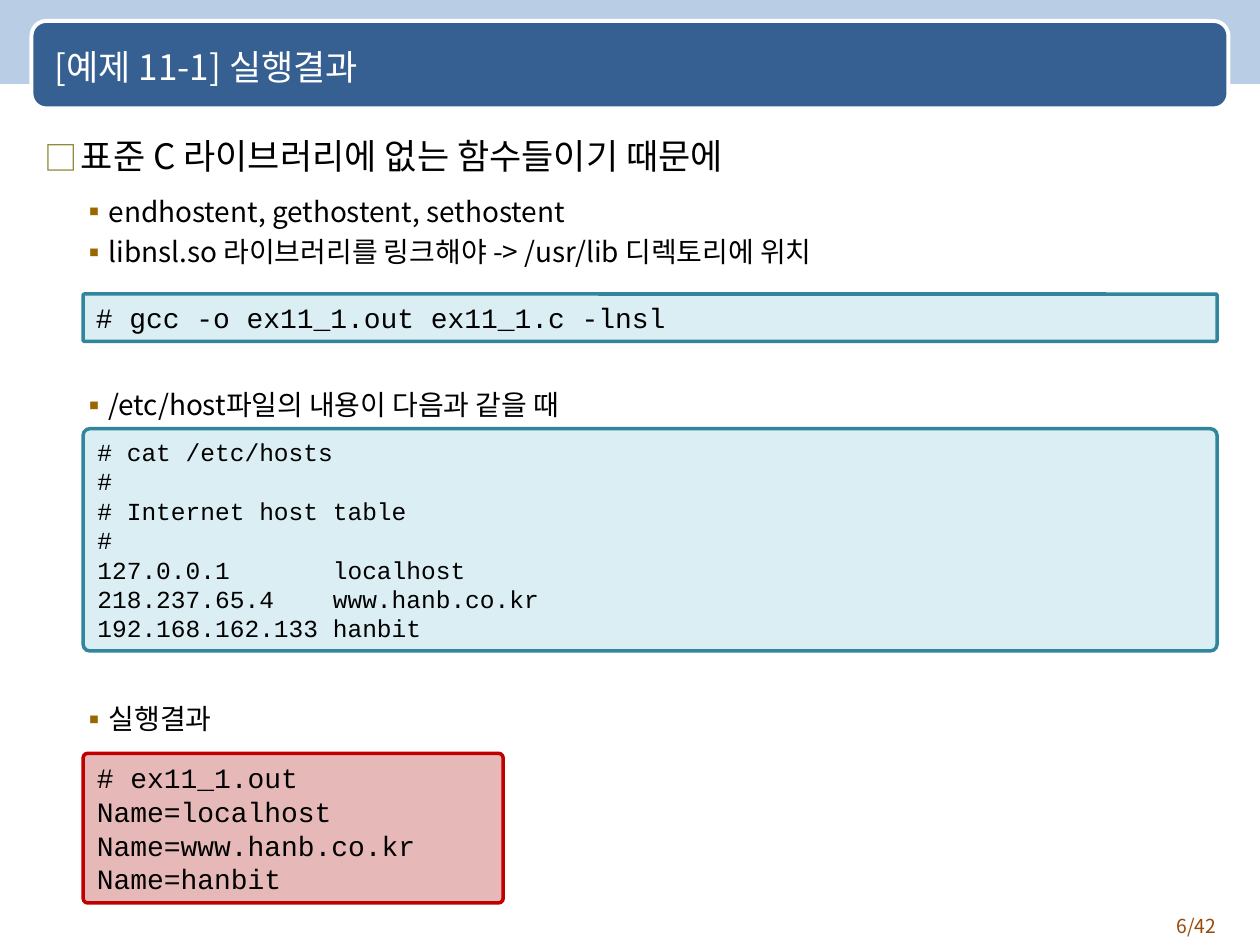
from lxml import etree
from pptx import Presentation
from pptx.dml.color import RGBColor
from pptx.enum.shapes import MSO_SHAPE
from pptx.enum.text import MSO_ANCHOR, MSO_AUTO_SIZE, PP_ALIGN
from pptx.oxml.ns import qn
from pptx.util import Pt

RECT, ROUND = MSO_SHAPE.RECTANGLE, MSO_SHAPE.ROUNDED_RECTANGLE
MIDDLE, FIXED = MSO_ANCHOR.MIDDLE, MSO_AUTO_SIZE.NONE
LEFT, RIGHT = PP_ALIGN.LEFT, PP_ALIGN.RIGHT
SANS, MONO = "Noto Sans CJK KR", "Courier New"
BLACK = RGBColor(0x00, 0x00, 0x00)
WHITE = RGBColor(0xFF, 0xFF, 0xFF)
SKY = RGBColor(0xB9, 0xCD, 0xE5)
NAVY = RGBColor(0x37, 0x60, 0x92)
RUST = RGBColor(0x98, 0x48, 0x07)
AQUA = RGBColor(0xDB, 0xEE, 0xF4)
TEAL = RGBColor(0x31, 0x85, 0x9C)
PINK = RGBColor(0xE6, 0xB9, 0xB8)
RED = RGBColor(0xC0, 0x00, 0x00)
OLIVE = RGBColor(0x88, 0x81, 0x28)
BROWN = RGBColor(0x99, 0x66, 0x00)

LEVELS = [
    dict(mark="□", hue=OLIVE, scale=95, left=21, hang=21, size=20, line=25.5, after=6),
    dict(mark="▪", hue=BROWN, scale=100, left=35, hang=14, size=16, line=19, after=0),
]
POINTS = [
    (0, 0, "표준 C 라이브러리에 없는 함수들이기 때문에"),
    (1, 4, "endhostent, gethostent, sethostent"),
    (1, 4, "libnsl.so 라이브러리를 링크해야 -> /usr/lib 디렉토리에 위치"),
    (1, 68.5, "/etc/host파일의 내용이 다음과 같을 때"),
    (1, 160.5, "실행결과"),
]
BUILD = "# gcc -o ex11_1.out ex11_1.c -lnsl"
HOSTS = """# cat /etc/hosts
#
# Internet host table
#
127.0.0.1       localhost
218.237.65.4    www.hanb.co.kr
192.168.162.133 hanbit"""
RESULT = """# ex11_1.out
Name=localhost
Name=www.hanb.co.kr
Name=hanbit"""


class Deck:
    """Holds the text style and the current slide, and draws its elements."""

    def __init__(self):
        self.show = Presentation()
        self.show.slide_width, self.show.slide_height = Pt(720), Pt(540)
        self.slide = self.show.slides.add_slide(self.show.slide_layouts[1])
        self.shapes = self.slide.shapes

    def style(self, para, size, color, face=SANS, align=LEFT):
        para.alignment = align
        for run in para.runs:
            font = run.font
            font.size, font.name, font.color.rgb = Pt(size), face, color
            east = etree.SubElement(run._r.get_or_add_rPr(), qn("a:ea"))
            east.set("typeface", face)

    def place(self, shape, x, y, w, h):
        shape.left, shape.top, shape.width, shape.height = Pt(x), Pt(y), Pt(w), Pt(h)
        self.shapes.element.append(shape.element)
        shape.text_frame.auto_size = FIXED
        return shape.text_frame

    def panel(self, kind, box, fill, edge=None, width=2.0, curve=0.03):
        shape = self.shapes.add_shape(kind, *map(Pt, box))
        shape.shadow.inherit = False
        shape.fill.solid()
        shape.fill.fore_color.rgb = fill
        if edge is None:
            shape.line.fill.background()
        else:
            shape.line.color.rgb, shape.line.width = edge, Pt(width)
            shape.adjustments[0] = curve
        return shape

    def code(self, box, text, size, fill, edge):
        frame = self.panel(ROUND, box, fill, edge).text_frame
        frame.word_wrap, frame.vertical_anchor = True, MIDDLE
        frame.text = text
        for para in frame.paragraphs:
            self.style(para, size, BLACK, MONO)

    def title(self, text):
        frame = self.place(self.shapes.title, 24, 14, 666, 48)
        frame.text, frame.vertical_anchor = text, MIDDLE
        self.style(frame.paragraphs[0], 20, WHITE)

    def bullet(self, para, look):
        props = para._p.get_or_add_pPr()
        props.set("marL", str(Pt(look["left"])))
        props.set("indent", str(-Pt(look["hang"])))
        tint = etree.SubElement(props, qn("a:buClr"))
        etree.SubElement(tint, qn("a:srgbClr")).set("val", str(look["hue"]))
        scale = str(look["scale"] * 1000)
        for tag, key, value in (("a:buSzPct", "val", scale),
                                ("a:buFont", "typeface", SANS),
                                ("a:buChar", "char", look["mark"])):
            etree.SubElement(props, qn(tag)).set(key, value)

    def body(self, points):
        frame = self.place(self.slide.placeholders[1], 18, 72, 684, 450)
        frame.text = "\n".join(text for *_, text in points)
        for para, (level, gap, _) in zip(frame.paragraphs, points):
            look = LEVELS[level]
            para.level = level
            self.bullet(para, look)
            para.space_before, para.space_after = Pt(gap), Pt(look["after"])
            para.line_spacing = Pt(look["line"])
            self.style(para, look["size"], BLACK)

    def page(self, text):
        frame = self.shapes.add_textbox(Pt(642), Pt(519), Pt(60), Pt(21)).text_frame
        frame.word_wrap = True
        frame.text = text
        self.style(frame.paragraphs[0], 11, RUST, align=RIGHT)


def main():
    deck = Deck()
    deck.panel(RECT, (0, 0, 720, 48), SKY)
    deck.panel(ROUND, (18, 12, 684, 50), NAVY, WHITE, 2.25, 0.17)
    deck.page("6/42")
    deck.title("[예제 11-1] 실행결과")
    deck.body(POINTS)
    deck.code((47.5, 168, 648, 27), BUILD, 16, AQUA, TEAL)
    deck.code((47.5, 245, 648, 127), HOSTS, 14, AQUA, TEAL)
    deck.code((47.5, 430.5, 240, 85.5), RESULT, 16, PINK, RED)
    deck.show.save("out.pptx")


if __name__ == "__main__":
    main()
